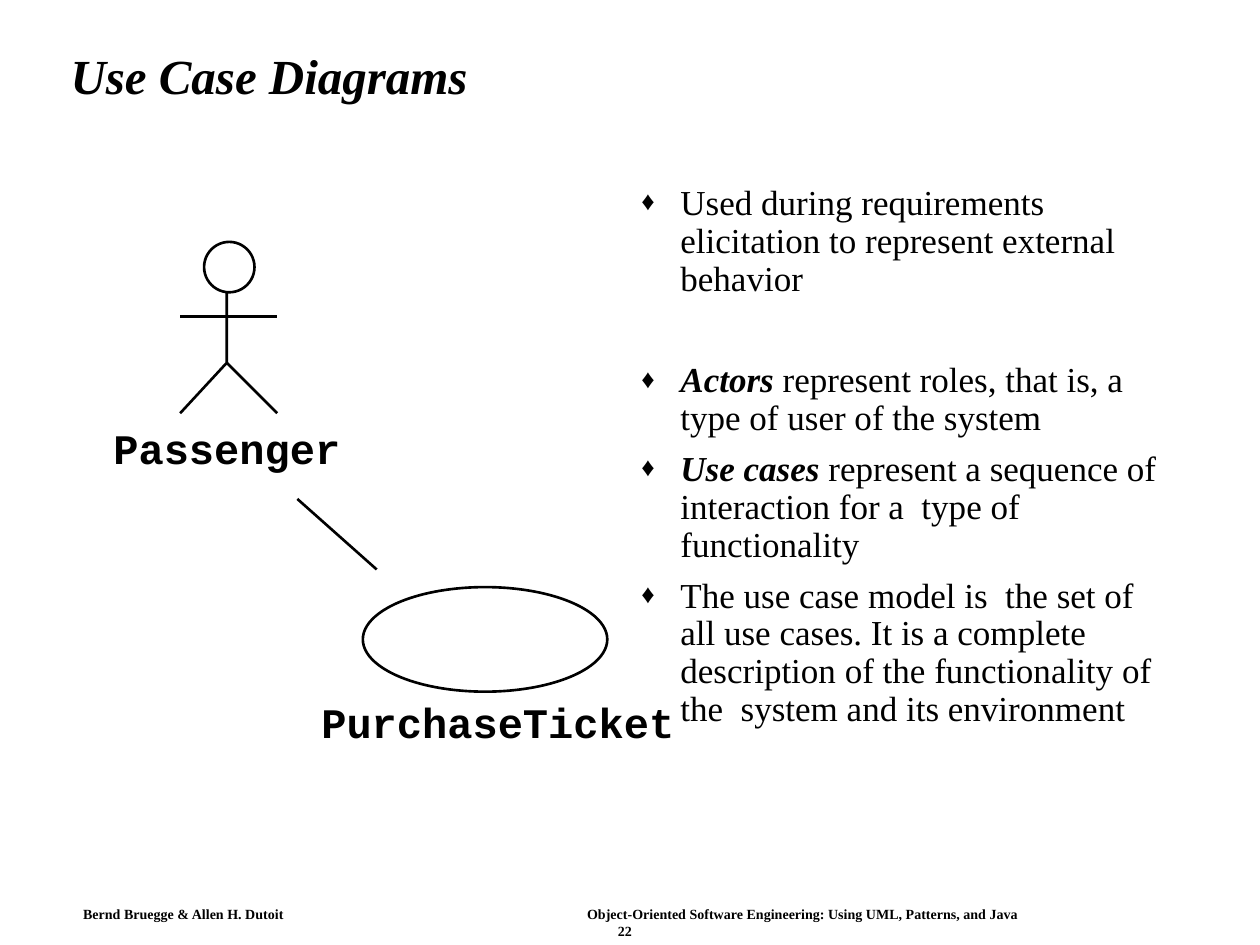
from lxml.etree import SubElement
from pptx import Presentation
from pptx.dml.color import RGBColor
from pptx.enum.shapes import MSO_CONNECTOR as Connector, MSO_SHAPE as Preset
from pptx.enum.text import MSO_ANCHOR as Anchor, MSO_AUTO_SIZE as AutoSize, PP_ALIGN as Align
from pptx.oxml.ns import qn
from pptx.util import Inches, Pt

BLACK, WHITE = "000000", "FFFFFF"
SERIF, MONO = "Times New Roman", "Courier New"

BULLETS = [
    ("", "Used during requirements elicitation to represent external behavior", 0),
    ("Actors", " represent roles, that is, a type of user of the system", 36.5),
    ("Use cases", " represent a sequence of interaction for a  type of functionality", 7.5),
    ("", "The use case model is  the set of all use cases. It is a complete "
         "description of the functionality of the  system and its environment", 7.5),
]


def color(value):
    return RGBColor.from_string(value)


def place(shape, left, top, width, height):
    shape.left, shape.top = Inches(left), Inches(top)
    shape.width, shape.height = Inches(width), Inches(height)


def style_font(font, name, size, bold=False, italic=False):
    font.name, font.size = name, Pt(size)
    font.bold, font.italic = bold, italic
    font.color.rgb = color(BLACK)


def style_line(shape):
    shape.line.color.rgb = color(BLACK)
    shape.line.width = Pt(1.5)


def add_line(shapes, start, end):
    line = shapes.add_connector(Connector.STRAIGHT, *map(Inches, start + end))
    style_line(line)
    SubElement(line._element.spPr, qn("a:effectLst"))


def add_ellipse(shapes, left, top, width, height, fill=None):
    ellipse = shapes.add_shape(Preset.OVAL, *map(Inches, (left, top, width, height)))
    ellipse.shadow.inherit = False
    style_line(ellipse)
    if fill:
        ellipse.fill.solid()
        ellipse.fill.fore_color.rgb = color(fill)
    else:
        ellipse.fill.background()


def add_label(shapes, text, box, name, size, alignment=Align.LEFT):
    label = shapes.add_textbox(*map(Inches, box))
    frame = label.text_frame
    frame.word_wrap = False
    frame.margin_left = frame.margin_right = frame.margin_top = frame.margin_bottom = 0
    paragraph = frame.paragraphs[0]
    paragraph.text = text
    paragraph.alignment = alignment
    style_font(paragraph.font, name, size, bold=True)


def add_bullet(paragraph):
    properties = paragraph._p.get_or_add_pPr()
    properties.set("marL", str(Inches(0.31)))
    properties.set("indent", str(-Inches(0.31)))
    bullet_color = SubElement(properties, qn("a:buClr"))
    SubElement(bullet_color, qn("a:srgbClr"), val=BLACK)
    SubElement(properties, qn("a:buSzPct"), val="75000")
    SubElement(properties, qn("a:buFont"), typeface=SERIF)
    SubElement(properties, qn("a:buChar"), char="♦")


def fill_title(title, box):
    place(title, *box)
    frame = title.text_frame
    frame.auto_size = AutoSize.NONE
    frame.vertical_anchor = Anchor.MIDDLE
    paragraph = frame.paragraphs[0]
    paragraph.text = "Use Case Diagrams"
    paragraph.alignment = Align.LEFT
    paragraph.line_spacing = 0.9
    style_font(paragraph.font, SERIF, 28, bold=True, italic=True)


def fill_body(body, box):
    place(body, *box)
    frame = body.text_frame
    frame.auto_size = AutoSize.NONE
    for index, (term, text, space) in enumerate(BULLETS):
        paragraph = frame.add_paragraph() if index else frame.paragraphs[0]
        add_bullet(paragraph)
        paragraph.line_spacing = 0.9
        paragraph.space_before = Pt(space)
        style_font(paragraph.font, SERIF, 20)
        if term:
            run = paragraph.add_run()
            run.text = term
            run.font.bold = run.font.italic = True
        paragraph.add_run().text = text


def add_actor(slide, left, top):
    shapes = slide.shapes.add_group_shape().shapes
    center, arm, hip, foot = left + 0.9, top + 0.59, top + 0.96, top + 1.36
    left_hand, right_hand = left + 0.53, left + 1.3
    builder = shapes.build_freeform(Inches(center), Inches(top + 0.28))
    builder.add_line_segments(
        [(Inches(center), Inches(hip)), (Inches(left_hand), Inches(foot))], close=False)
    body = builder.convert_to_shape()
    body.shadow.inherit = False
    body.fill.background()
    style_line(body)
    add_line(shapes, (center, hip), (right_hand, foot))
    add_line(shapes, (left_hand, arm), (right_hand, arm))
    add_ellipse(shapes, left + 0.72, top, 0.4, 0.4, WHITE)
    add_label(shapes, "Passenger", (left, top + 1.43, 1.8, 0.4), MONO, 24)


def add_use_case(slide, left, top):
    shapes = slide.shapes.add_group_shape().shapes
    add_ellipse(shapes, left + 0.33, top, 1.94, 0.83)
    add_label(shapes, "PurchaseTicket", (left, top + 0.87, 2.85, 0.4), MONO, 24)


def add_footer(slide, left, top):
    for text, offset, drop, width, alignment in [
        ("Bernd Bruegge & Allen H. Dutoit", 0, 0, 1.8, Align.LEFT),
        ("Object-Oriented Software Engineering: Using UML, Patterns, and Java",
         4, 0, 3.8, Align.LEFT),
        ("22", 4.2, 0.13, 0.2, Align.CENTER),
    ]:
        add_label(slide.shapes, text, (left + offset, top + drop, width, 0.13),
                  SERIF, 8, alignment)


def main():
    presentation = Presentation()
    presentation.slide_width, presentation.slide_height = Inches(10), Inches(7.5)
    slide = presentation.slides.add_slide(presentation.slide_layouts[1])
    slide.background.fill.solid()
    slide.background.fill.fore_color.rgb = color(WHITE)
    add_footer(slide, 0.66, 7.19)
    fill_title(slide.shapes.title, (0.46, 0.24, 8.92, 0.77))
    fill_body(slide.placeholders[1], (4.99, 1.42, 4.43, 5.38))
    add_actor(slide, 0.9, 1.92)
    add_use_case(slide, 2.55, 4.66)
    add_line(slide.shapes, (2.36, 3.96), (2.99, 4.52))
    presentation.save("out.pptx")


if __name__ == "__main__":
    main()
